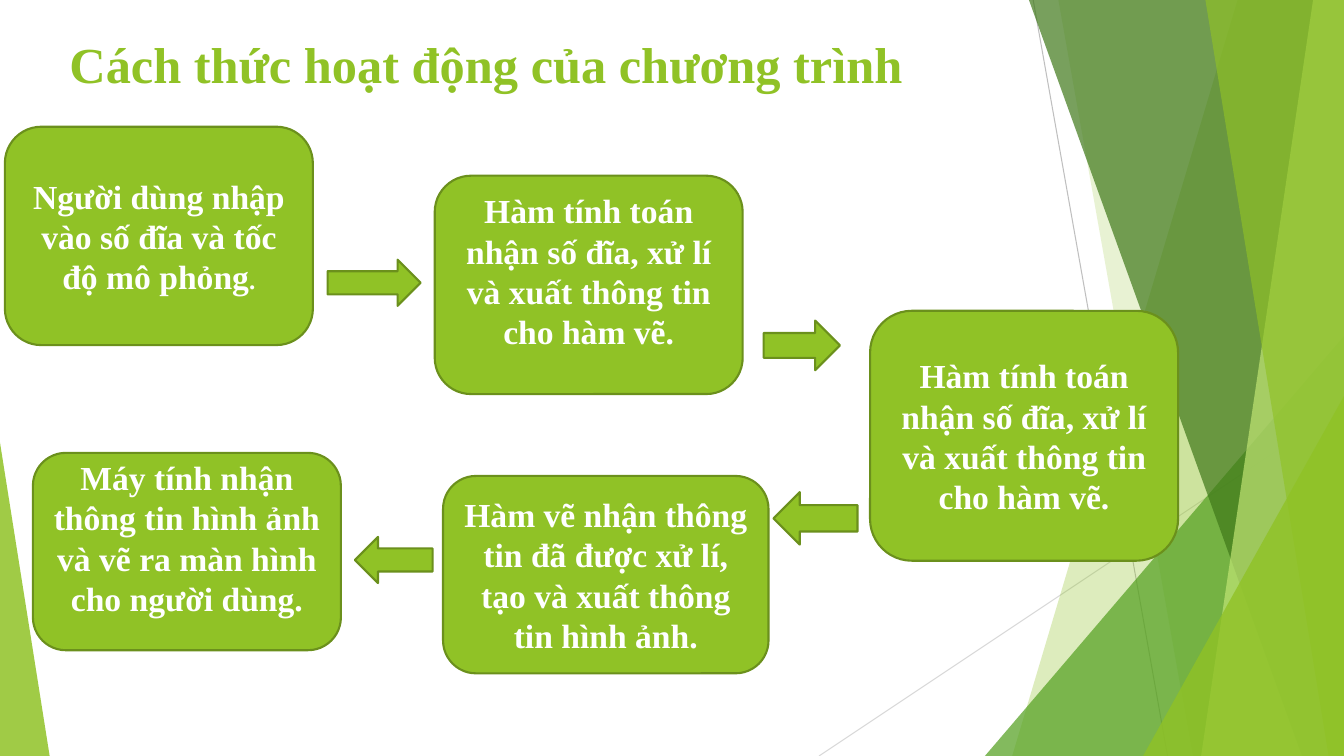
import pptx
import pptx.util
import pptx.dml.color
import pptx.enum.shapes
import pptx.enum.text
import pptx.oxml.ns
from dataclasses import dataclass
from lxml import etree

Pt = pptx.util.Pt
SHAPE = pptx.enum.shapes.MSO_SHAPE
ALIGN = pptx.enum.text.PP_ALIGN
ANCHOR = pptx.enum.text.MSO_ANCHOR
qn = pptx.oxml.ns.qn


@dataclass(frozen=True)
class Theme:
    green: str = "90C226"
    outline: str = "6B901C"
    mid_green: str = "54A021"
    dark_green: str = "3F7819"
    pale_green: str = "C0E474"
    white: str = "FFFFFF"
    grey: str = "BFBFBF"
    light_grey: str = "D9D9D9"
    font: str = "Times New Roman"
    title_size: float = 36
    step_size: float = 24
    small_size: float = 18


T = Theme()


def rgb(color):
    return pptx.dml.color.RGBColor.from_string(color)


def add_text(p, text, *, size, color, bold=True):
    r = p.add_run()
    r.text = text
    r.font.name, r.font.size, r.font.bold = T.font, Pt(size), bold
    r.font.color.rgb = rgb(color)


def paint(sp, color, opacity=100, outline=None):
    sp.shadow.inherit = False
    sp.fill.solid()
    sp.fill.fore_color.rgb = rgb(color)
    if opacity < 100:
        clr = sp.fill._xPr.find(qn("a:solidFill"))[0]
        etree.SubElement(clr, qn("a:alpha"), val=str(opacity * 1000))
    if outline:
        sp.line.color.rgb = rgb(outline)
        sp.line.width = Pt(1.5)
    else:
        sp.line.fill.background()


def add_preset(slide, kind, x, y, w, h):
    return slide.shapes.add_shape(kind, Pt(x), Pt(y), Pt(w), Pt(h))


def add_triangle(slide, x, y, w, h, apex, color, opacity):
    sp = add_preset(slide, SHAPE.ISOSCELES_TRIANGLE, x, y, w, h)
    sp.adjustments[0] = apex
    paint(sp, color, opacity)


def add_facets(slide, x, y, w, h):
    """Overlapping translucent facets that fill the right side of the box."""
    right, bottom = x + w, y + h

    # Thin guide lines: start, end, color
    for x1, y1, x2, y2, color in ((153, 0, 249, h, T.grey),
                                  (w, 290, 0, h, T.light_grey)):
        ln = slide.shapes.add_connector(
            pptx.enum.shapes.MSO_CONNECTOR.STRAIGHT,
            Pt(x + x1), Pt(y + y1), Pt(x + x2), Pt(y + y2))
        ln.line.color.rgb = rgb(color)
        ln.line.width = Pt(0.75)
        etree.SubElement(ln._element.spPr, qn("a:effectLst"))

    def band(top_x, bottom_x, color, opacity):
        builder = slide.shapes.build_freeform(Pt(x + top_x), Pt(y))
        builder.add_line_segments(
            [(Pt(right), Pt(y)), (Pt(right), Pt(bottom)),
             (Pt(x + bottom_x), Pt(bottom))], close=True)
        paint(builder.convert_to_shape(), color, opacity)

    def corner(left, top, color, opacity):
        add_triangle(slide, x + left, y + top, w - left, h - top, 1, color, opacity)

    # Back to front
    band(299, 138, T.green, 30)
    band(171, 267, T.green, 20)
    corner(118.5, 240, T.mid_green, 72)
    band(150, 345, T.dark_green, 70)
    band(353, 273, T.pale_green, 70)
    band(276, 364, T.green, 65)
    corner(231.5, 283, T.green, 80)


def add_title(slide, x, y, w, h, text):
    sp = slide.shapes.add_textbox(Pt(x), Pt(y), Pt(w), Pt(h))
    tf = sp.text_frame
    tf.word_wrap = True
    add_text(tf.paragraphs[0], text, size=T.title_size, color=T.green)


def add_step(slide, x, y, w, h, text, lift=0, end=""):
    """Rounded step; lift reserves room under its text."""
    sp = add_preset(slide, SHAPE.ROUNDED_RECTANGLE, x, y, w, h)
    paint(sp, T.green, outline=T.outline)
    tf = sp.text_frame
    tf.word_wrap = True
    tf.vertical_anchor = ANCHOR.MIDDLE
    tf.margin_bottom = Pt(3.6 + lift)
    p = tf.paragraphs[0]
    p.alignment = ALIGN.CENTER
    add_text(p, text, size=T.step_size, color=T.white)
    if end:
        add_text(p, end, size=T.small_size, color=T.white)


def add_flow(slide, x, y):
    """Five steps and four arrows, placed from the top left corner."""
    compute = "Hàm tính toán nhận số đĩa, xử lí và xuất thông tin cho hàm vẽ."
    draw = "Hàm vẽ nhận thông tin đã được xử lí, tạo và xuất thông tin hình ảnh."
    show = "Máy tính nhận thông tin hình ảnh và vẽ ra màn hình cho người dùng."
    enter = "Người dùng nhập vào số đĩa và tốc độ mô phỏng"
    steps = [
        (0, 0, 220, 156, enter, 0, "."),
        (307, 35, 220, 156, compute, 20, ""),
        (618, 131.5, 220, 178.5, compute, 0, ""),
        (313, 249.5, 232.5, 141, draw, 0, ""),
        (20, 233, 220, 141, show, 20, ""),
    ]
    for left, top, w, h, text, lift, end in steps:
        add_step(slide, x + left, y + top, w, h, text, lift, end)

    arrows = [
        (SHAPE.RIGHT_ARROW, 230.5, 95, 66.5, 33),
        (SHAPE.RIGHT_ARROW, 542, 138.5, 54.5, 35.5),
        (SHAPE.LEFT_ARROW, 549, 261, 60, 37.5),
        (SHAPE.LEFT_ARROW, 250, 293, 55.5, 33),
    ]
    for kind, left, top, w, h in arrows:
        sp = add_preset(slide, kind, x + left, y + top, w, h)
        paint(sp, T.green, outline=T.outline)


def main():
    prs = pptx.Presentation()
    prs.slide_width, prs.slide_height = Pt(960), Pt(540)
    slide = prs.slides.add_slide(prs.slide_layouts[6])

    # Background decoration
    add_facets(slide, 585, 0, 375, 540)
    add_triangle(slide, 0, 316, 35.5, 224, 0, T.green, 85)

    # Content
    add_title(slide, 42.5, 20, 677, 104, "Cách thức hoạt động của chương trình")
    add_flow(slide, 3.5, 90.5)
    prs.save("out.pptx")


if __name__ == "__main__":
    main()
